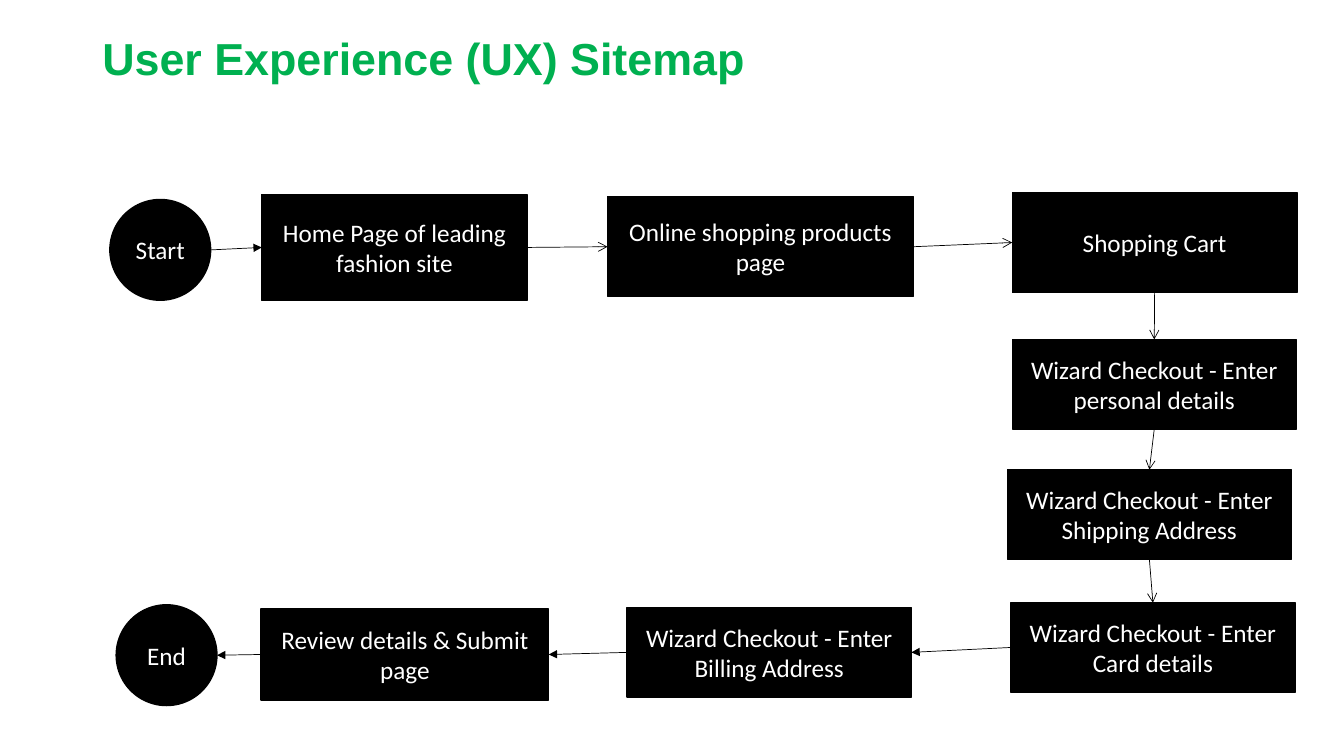
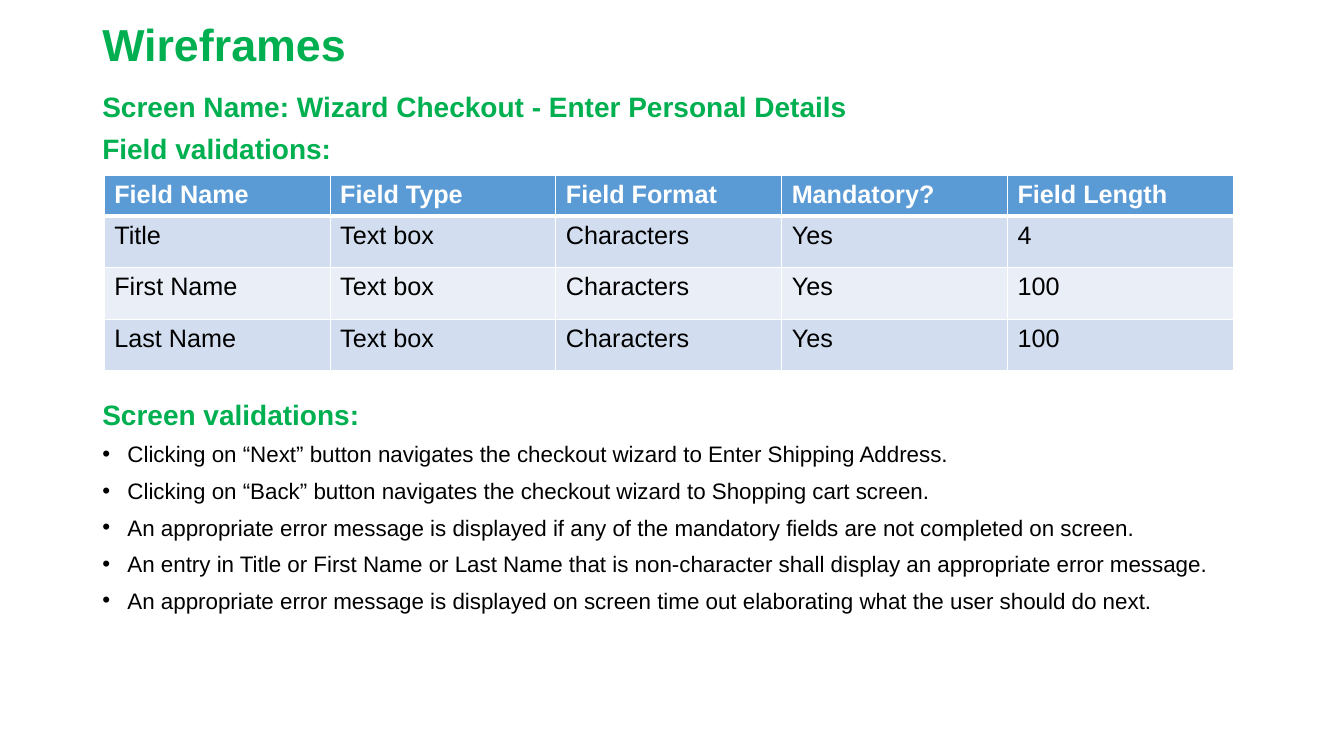
from dataclasses import dataclass

from lxml import etree
from pptx import Presentation
from pptx.dml.color import RGBColor
from pptx.enum import shapes, text
from pptx.oxml import ns
from pptx.util import Pt

# Shared look
GREEN, BLACK, WHITE = "00B050", "000000", "FFFFFF"
HEADER_BLUE, ROW_BLUE, ROW_PALE = "5B9BD5", "D2DEEF", "EAEFF7"
HEADING_FONT, SHAPE_FONT = "Arial", "Calibri"
TEXT_LEFT = 66
TOP, LEFT, BOTTOM, RIGHT = range(4)


@dataclass(frozen=True)
class Node:
    label: str
    left: float
    top: float
    width: float
    height: float
    is_circle: bool = False

    def side(self, side: int) -> tuple[float, float]:
        """Middle of one side."""
        across = {LEFT: 0, RIGHT: 1}.get(side, 0.5)
        down = {TOP: 0, BOTTOM: 1}.get(side, 0.5)
        return self.left + across * self.width, self.top + down * self.height


@dataclass(frozen=True)
class Link:
    source: str
    target: str
    leaves: int
    enters: int
    head: str = "arrow"


@dataclass(frozen=True)
class Line:
    words: str
    size: float
    color: str = GREEN
    bold: bool = True
    bullet: bool = False


# Slide content
NODES = {
    "start": Node("Start", 78.5, 142.5, 72, 72, True),
    "home": Node("Home Page of leading fashion site", 187, 139, 189.5, 75.5),
    "products": Node("Online shopping products page", 434, 140.5, 218.5, 71.5),
    "cart": Node("Shopping Cart", 723, 137.5, 203.5, 71.5),
    "personal": Node("Wizard Checkout - Enter personal details", 723, 242.5, 203, 64),
    "shipping": Node("Wizard Checkout - Enter Shipping Address", 719.5, 335.5, 203, 64),
    "card": Node("Wizard Checkout - Enter Card details", 722, 430.5, 203, 64),
    "billing": Node("Wizard Checkout - Enter Billing Address", 448, 434, 203, 64),
    "review": Node("Review details & Submit page", 186.5, 435, 205.5, 65),
    "end": Node("End", 83, 432, 72, 72, True),
}
LINKS = [
    Link("start", "home", RIGHT, LEFT, "triangle"),
    Link("home", "products", RIGHT, LEFT),
    Link("products", "cart", RIGHT, LEFT),
    Link("cart", "personal", BOTTOM, TOP),
    Link("personal", "shipping", BOTTOM, TOP),
    Link("shipping", "card", BOTTOM, TOP),
    Link("card", "billing", LEFT, RIGHT, "triangle"),
    Link("billing", "review", LEFT, RIGHT, "triangle"),
    Link("review", "end", LEFT, RIGHT, "triangle"),
]
FIELDS = [
    ("Field Name", "Field Type", "Field Format", "Mandatory?", "Field Length"),
    ("Title", "Text box", "Characters", "Yes", "4"),
    ("First Name", "Text box", "Characters", "Yes", "100"),
    ("Last Name", "Text box", "Characters", "Yes", "100"),
]
INTRO = [
    Line("Screen Name: Wizard Checkout - Enter Personal Details", 20),
    Line("Field validations:", 20),
]
RULES = [
    "Clicking on “Next” button navigates the checkout wizard to Enter Shipping Address.",
    "Clicking on “Back” button navigates the checkout wizard to Shopping cart screen.",
    "An appropriate error message is displayed if any of the mandatory fields are not "
    "completed on screen.",
    "An entry in Title or First Name or Last Name that is non-character shall display an "
    "appropriate error message.",
    "An appropriate error message is displayed on screen time out elaborating what the user "
    "should do next.",
]
VALIDATIONS = [Line("Screen validations:", 20)] + [
    Line(rule, 16, BLACK, False, True) for rule in RULES
]


# Helpers
def rgb(color: str) -> RGBColor:
    return RGBColor.from_string(color)


def add_xml(parent, tag: str, **attributes: str):
    return etree.SubElement(parent, ns.qn(tag), attributes)


def style(para, font: str, size: float, color: str, bold: bool = False) -> None:
    for span in para.runs:
        span.font.name, span.font.size, span.font.bold = font, Pt(size), bold
        span.font.color.rgb = rgb(color)


def add_lines(page, lines: list[Line], top: float, width: float, height: float,
              spacing: float, before: float = 0, anchor=text.MSO_ANCHOR.TOP) -> None:
    box = page.shapes.add_textbox(Pt(TEXT_LEFT), Pt(top), Pt(width), Pt(height))
    frame = box.text_frame
    frame.word_wrap, frame.vertical_anchor = True, anchor
    frame.text = "\n".join(line.words for line in lines)
    for para, line in zip(frame.paragraphs, lines):
        para.line_spacing, para.space_before = spacing, Pt(before)
        style(para, HEADING_FONT, line.size, line.color, line.bold)
        if line.bullet:
            properties = para._p.get_or_add_pPr()
            properties.set("marL", str(Pt(18)))
            properties.set("indent", str(Pt(-18)))
            add_xml(properties, "a:buFont", typeface=HEADING_FONT)
            add_xml(properties, "a:buChar", char="•")


def add_title(page, words: str, top: float, width: float, height: float) -> None:
    add_lines(page, [Line(words, 32)], top, width, height, 0.9,
              anchor=text.MSO_ANCHOR.MIDDLE)


def add_node(page, node: Node):
    kind = shapes.MSO_SHAPE.OVAL if node.is_circle else shapes.MSO_SHAPE.FLOWCHART_PROCESS
    shape = page.shapes.add_shape(
        kind, Pt(node.left), Pt(node.top), Pt(node.width), Pt(node.height))
    shape.shadow.inherit = False
    shape.fill.solid()
    shape.fill.fore_color.rgb = rgb(BLACK)
    shape.line.color.rgb, shape.line.width = rgb(BLACK), Pt(1)
    frame = shape.text_frame
    frame.word_wrap, frame.vertical_anchor = True, text.MSO_ANCHOR.MIDDLE
    frame.text = node.label
    para = frame.paragraphs[0]
    para.alignment = text.PP_ALIGN.CENTER
    style(para, SHAPE_FONT, 18, WHITE)
    return shape


def add_link(page, link: Link, drawn: dict) -> None:
    source, target = NODES[link.source], NODES[link.target]
    ends = source.side(link.leaves) + target.side(link.enters)
    arrow = page.shapes.add_connector(
        shapes.MSO_CONNECTOR.STRAIGHT, *(Pt(value) for value in ends))
    if not source.is_circle:
        arrow.begin_connect(drawn[link.source], link.leaves)
    if not target.is_circle:
        arrow.end_connect(drawn[link.target], link.enters)
    arrow.line.color.rgb, arrow.line.width = rgb(BLACK), Pt(0.5)
    add_xml(arrow.line._get_or_add_ln(), "a:tailEnd", type=link.head)
    add_xml(arrow._element.spPr, "a:effectLst")


def add_borders(cell, bottom: float) -> None:
    properties = cell._tc.get_or_add_tcPr()
    widths = {"a:lnL": 1, "a:lnR": 1, "a:lnT": 1, "a:lnB": bottom}
    for position, (tag, width) in enumerate(widths.items()):
        border = etree.Element(ns.qn(tag), w=str(Pt(width)))
        add_xml(add_xml(border, "a:solidFill"), "a:srgbClr", val=WHITE)
        properties.insert(position, border)


def add_field_table(page) -> None:
    column_width, header_height, row_height = 161.3, 29, 36.8
    columns, rows = len(FIELDS[0]), len(FIELDS)
    table = page.shapes.add_table(
        rows, columns, Pt(74.5), Pt(125.5), Pt(columns * column_width),
        Pt(header_height + (rows - 1) * row_height)).table
    for column in table.columns:
        column.width = Pt(column_width)
    for index, values in enumerate(FIELDS):
        header = index == 0
        table.rows[index].height = Pt(header_height if header else row_height)
        fill = HEADER_BLUE if header else ROW_BLUE if index % 2 else ROW_PALE
        for cell, value in zip(table.rows[index].cells, values):
            cell.text_frame.text = value
            cell.fill.solid()
            cell.fill.fore_color.rgb = rgb(fill)
            style(cell.text_frame.paragraphs[0], HEADING_FONT, 18,
                  WHITE if header else BLACK, header)
            add_borders(cell, 3 if header else 1)


# Slides
def build_sitemap(page) -> None:
    add_title(page, "User Experience (UX) Sitemap", 15, 871, 57)
    drawn = {name: add_node(page, node) for name, node in NODES.items()}
    for link in LINKS:
        add_link(page, link, drawn)


def build_wireframes(page) -> None:
    add_title(page, "Wireframes", 10, 828, 47)
    add_lines(page, INTRO, 64, 856, 58, 0.84, 10)
    add_field_table(page)
    add_lines(page, VALIDATIONS, 284, 856, 170, 0.84, 10)


def main() -> None:
    deck = Presentation()
    deck.slide_width, deck.slide_height = Pt(960), Pt(540)
    for build in (build_sitemap, build_wireframes):
        build(deck.slides.add_slide(deck.slide_layouts[6]))
    deck.save("out.pptx")


if __name__ == "__main__":
    main()
